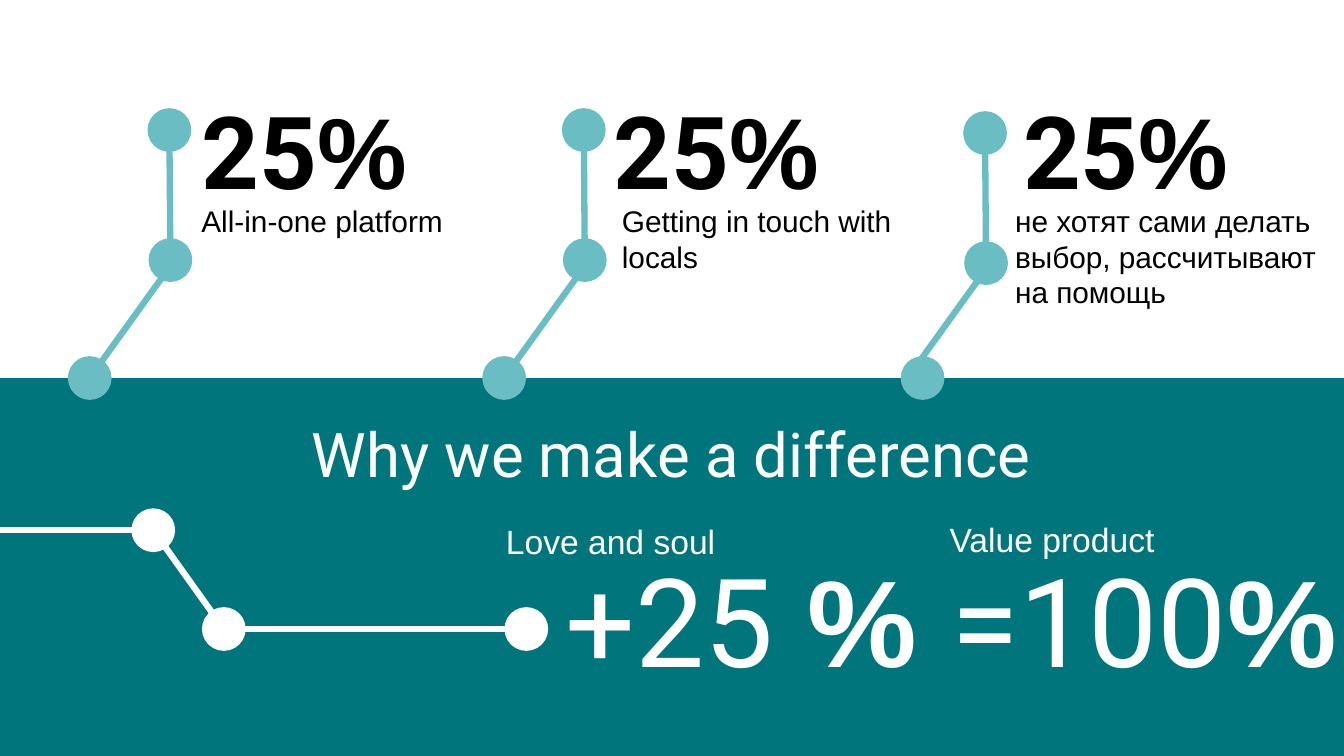
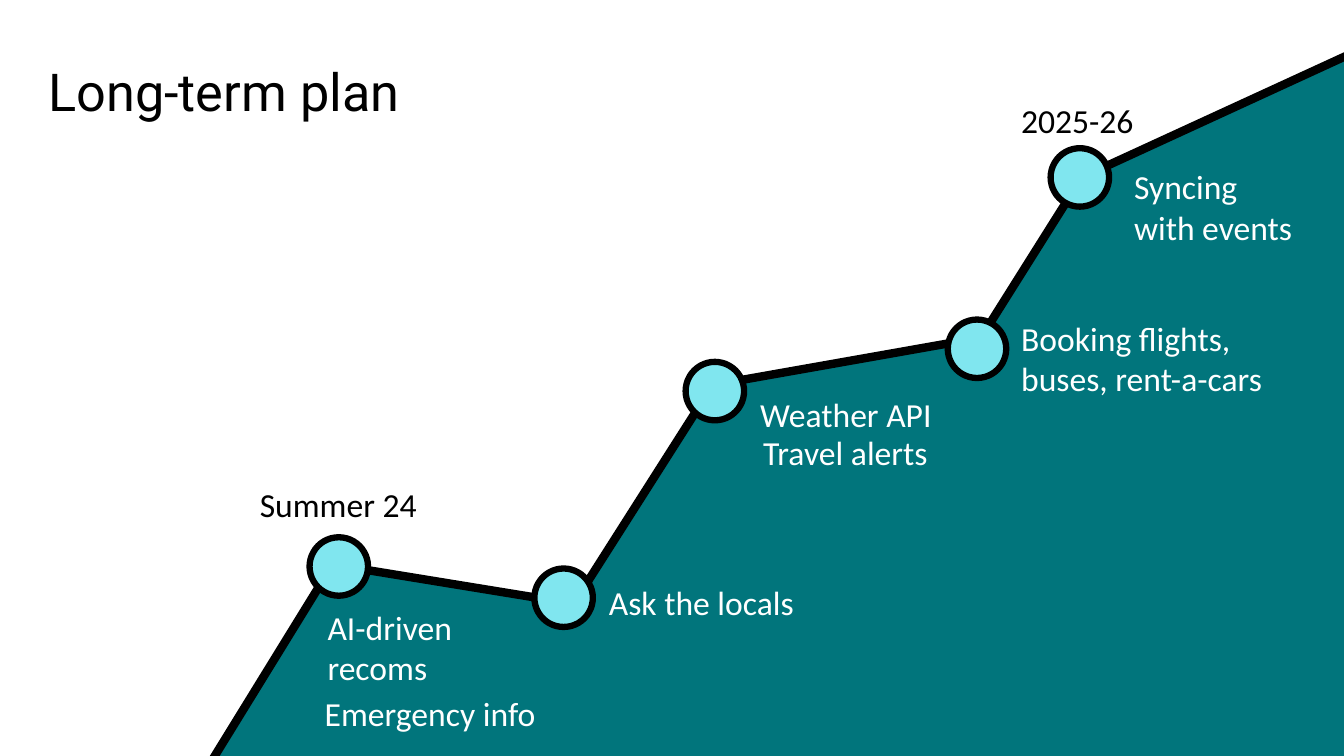
from dataclasses import dataclass
from itertools import pairwise

from lxml.etree import SubElement
from pptx import Presentation
from pptx.dml.color import RGBColor
from pptx.enum.shapes import MSO_CONNECTOR, MSO_SHAPE
from pptx.enum.text import MSO_ANCHOR, MSO_AUTO_SIZE, PP_ALIGN
from pptx.oxml.ns import qn
from pptx.shapes.autoshape import Shape
from pptx.slide import Slide
from pptx.util import Inches, Pt

Point = tuple[float, float]


@dataclass(frozen=True)
class Theme:
    teal: RGBColor = RGBColor(0x01, 0x75, 0x7C)
    soft_teal: RGBColor = RGBColor(0x69, 0xBD, 0xC3)
    aqua: RGBColor = RGBColor(0x80, 0xE6, 0xEF)
    white: RGBColor = RGBColor(0xFF, 0xFF, 0xFF)
    black: RGBColor = RGBColor(0, 0, 0)
    heading: str = "Roboto"
    sans: str = "Arial"
    label: str = "Calibri"
    total_pt: float = 88
    figure_pt: float = 72
    banner_pt: float = 44
    title_pt: float = 37.3
    label_pt: float = 24
    caption_pt: float = 21.3
    link_pt: float = 4.5
    slope_pt: float = 6


THEME = Theme()
WIDTH, HEIGHT = 13.33, 7.5
BAND_TOP = 3.75
DOT, MILESTONE = 0.42, 0.58


@dataclass(frozen=True)
class Style:
    font: str
    size: float
    color: RGBColor
    align: PP_ALIGN = PP_ALIGN.LEFT


@dataclass(frozen=True)
class Piece:
    text: str
    font: str
    bold: bool


@dataclass(frozen=True)
class Box:
    left: float
    top: float
    width: float
    height: float


@dataclass(frozen=True)
class Stat:
    knee: Point
    foot_x: float
    figure_left: float
    caption: str
    caption_box: Box


@dataclass(frozen=True)
class Label:
    text: str
    box: Box
    color: RGBColor = THEME.white
    align: PP_ALIGN = PP_ALIGN.LEFT


STATS = [
    Stat((1.69, 2.58), 0.89, 1.9, "All-in-one platform", Box(1.9, 1.96, 2.87, 0.46)),
    Stat((5.8, 2.58), 5, 5.99, "Getting in touch with locals", Box(6.07, 1.96, 2.87, 0.82)),
    Stat((9.78, 2.61), 9.15, 10.05, "не хотят сами делать выбор, рассчитывают на помощь",
         Box(9.97, 1.96, 3.36, 1.18)),
]
FIGURE = [Piece("25", THEME.heading, True), Piece("%", THEME.sans, True)]
TOTAL = [
    Piece("+25", THEME.heading, False),
    Piece(" % ", THEME.sans, True),
    Piece("=100", THEME.heading, False),
    Piece("%", THEME.sans, True),
]
TOTAL_LABELS = [
    Label("Love and soul", Box(4.92, 5.12, 4, 0.5)),
    Label("Value product", Box(9.32, 5.1, 4, 0.5)),
]
TRAIL = [(1.52, 5.26), (2.22, 6.24), (5.22, 6.24)]

SLOPE = [(1.97, 7.76), (3.3, 5.6), (5.69, 5.99), (7.07, 3.82), (9.73, 3.35),
         (10.73, 1.76), (13.71, 0.39), (13.69, 7.95)]
MILESTONES = [(3.36, 5.62), (5.59, 5.93), (7.09, 3.88), (9.69, 3.46), (10.71, 1.76)]
PLAN_LABELS = [
    Label("Summer 24", Box(2.36, 4.75, 1.99, 0.5), THEME.black, PP_ALIGN.CENTER),
    Label("2025-26", Box(9.69, 0.94, 1.99, 0.5), THEME.black, PP_ALIGN.CENTER),
    Label("AI-driven recoms", Box(3.15, 5.97, 2.39, 0.91)),
    Label("Emergency info", Box(3.07, 6.83, 2.39, 0.5), align=PP_ALIGN.CENTER),
    Label("Ask the locals", Box(5.94, 5.72, 2.29, 0.5)),
    Label("Weather API", Box(7.34, 3.86, 2.1, 0.5), align=PP_ALIGN.CENTER),
    Label("Travel alerts", Box(7.45, 4.24, 1.87, 0.5), align=PP_ALIGN.CENTER),
    Label("Booking flights, buses, rent-a-cars", Box(10.03, 3.1, 2.71, 0.91)),
    Label("Syncing with events", Box(11.15, 1.6, 1.87, 0.91)),
]


def inches(box: Box) -> tuple[int, int, int, int]:
    return Inches(box.left), Inches(box.top), Inches(box.width), Inches(box.height)


def paint(sp: Shape, fill: RGBColor, line: RGBColor | None = None, width: float = 1) -> None:
    sp.shadow.inherit = False
    sp.fill.solid()
    sp.fill.fore_color.rgb = fill
    if line is None:
        sp.line.fill.background()
    else:
        sp.line.color.rgb = line
        sp.line.width = Pt(width)


def write(sp: Shape, pieces: str | list[Piece], style: Style) -> None:
    """Fill a shape with one paragraph; pieces override the font and weight."""
    tf = sp.text_frame
    tf.word_wrap = True
    tf.vertical_anchor = MSO_ANCHOR.TOP
    tf.auto_size = MSO_AUTO_SIZE.SHAPE_TO_FIT_TEXT
    p = tf.paragraphs[0]
    p.alignment = style.align
    p.font.name = style.font
    p.font.size = Pt(style.size)
    p.font.color.rgb = style.color
    if isinstance(pieces, str):
        p.add_run().text = pieces
        return
    for piece in pieces:
        r = p.add_run()
        r.text = piece.text
        r.font.name = piece.font
        r.font.bold = piece.bold


def add_text(s: Slide, box: Box, pieces: str | list[Piece], style: Style) -> None:
    write(s.shapes.add_textbox(*inches(box)), pieces, style)


def add_labels(s: Slide, labels: list[Label], font: str) -> None:
    for label in labels:
        style = Style(font, THEME.label_pt, label.color, label.align)
        add_text(s, label.box, label.text, style)


def set_title(s: Slide, box: Box, text: str, style: Style) -> None:
    title = s.shapes.title
    title.left, title.top, title.width, title.height = inches(box)
    write(title, text, style)


def add_dot(s: Slide, center: Point, size: float, fill: RGBColor,
            line: RGBColor, width: float = 1) -> None:
    x, y = center
    box = Box(x - size / 2, y - size / 2, size, size)
    sp = s.shapes.add_shape(MSO_SHAPE.OVAL, *inches(box))
    paint(sp, fill, line, width)


def add_link(s: Slide, start: Point, end: Point, color: RGBColor) -> None:
    link = s.shapes.add_connector(MSO_CONNECTOR.STRAIGHT, *map(Inches, start + end))
    link.line.color.rgb = color
    link.line.width = Pt(THEME.link_pt)
    SubElement(link.element.spPr, qn("a:effectLst"))


def add_stat(s: Slide, stat: Stat) -> None:
    """Draw a bent stem rising from the band, with its figure and caption."""
    x, y = stat.knee
    head = (x - 0.01, y - 1.29)
    color = THEME.soft_teal
    for center in (head, stat.knee, (stat.foot_x, BAND_TOP)):
        add_dot(s, center, DOT, color, color)
    add_link(s, (x - 0.8, y + 1.17), (x + 0.15, y - 0.15), color)
    add_link(s, stat.knee, head, color)
    add_text(s, Box(stat.figure_left, 0.83, 2.62, 1.31), FIGURE,
             Style(THEME.heading, THEME.figure_pt, THEME.black))
    add_text(s, stat.caption_box, stat.caption,
             Style(THEME.sans, THEME.caption_pt, THEME.black))


def build_difference(s: Slide) -> None:
    band = s.shapes.add_shape(
        MSO_SHAPE.RECTANGLE, *inches(Box(0, BAND_TOP, WIDTH, HEIGHT - BAND_TOP)))
    paint(band, THEME.teal)
    s.shapes.title.element.addprevious(band.element)
    set_title(s, Box(1.69, 4.08, 9.94, 0.84), "Why we make a difference",
              Style(THEME.heading, THEME.banner_pt, THEME.white, PP_ALIGN.CENTER))
    for stat in STATS:
        add_stat(s, stat)
    for start, end in pairwise([(0, TRAIL[0][1]), *TRAIL]):
        add_link(s, start, end, THEME.white)
    for center in TRAIL:
        add_dot(s, center, DOT, THEME.white, THEME.white)
    add_text(s, Box(5.51, 5.35, 8.65, 1.58), TOTAL,
             Style(THEME.heading, THEME.total_pt, THEME.white))
    add_labels(s, TOTAL_LABELS, THEME.sans)


def build_plan(s: Slide) -> None:
    set_title(s, Box(0.38, 0.54, 6.67, 0.73), "Long-term plan",
              Style(THEME.heading, THEME.title_pt, THEME.black))
    points = [(Inches(x), Inches(y)) for x, y in SLOPE]
    outline = s.shapes.build_freeform(*points[0])
    outline.add_line_segments(points[1:], close=True)
    paint(outline.convert_to_shape(), THEME.teal, THEME.black, THEME.slope_pt)
    for center in MILESTONES:
        add_dot(s, center, MILESTONE, THEME.aqua, THEME.black, THEME.link_pt)
    add_labels(s, PLAN_LABELS, THEME.label)


def main() -> None:
    prs = Presentation()
    prs.slide_width, prs.slide_height = Inches(WIDTH), Inches(HEIGHT)
    title_only = prs.slide_layouts[5]
    for build in (build_difference, build_plan):
        build(prs.slides.add_slide(title_only))
    prs.save("out.pptx")


if __name__ == "__main__":
    main()
